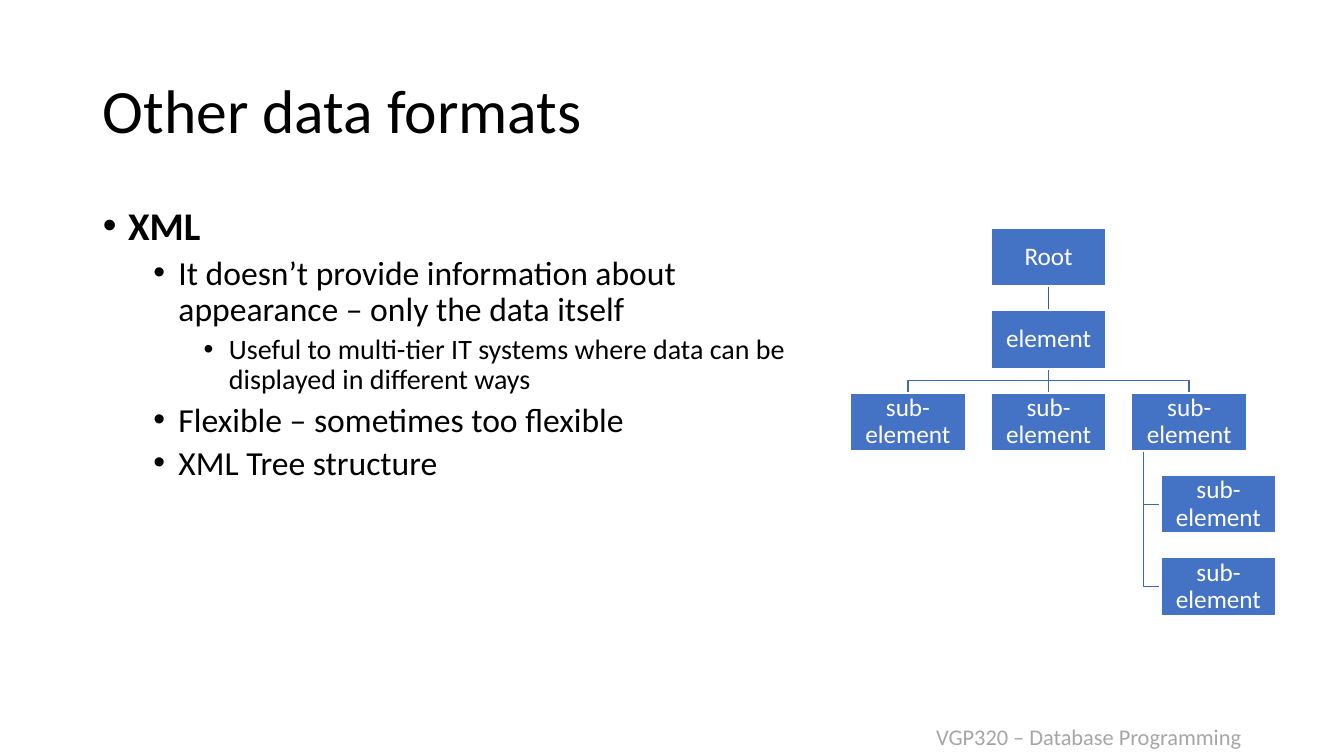
from pptx import Presentation
from pptx.dml.color import RGBColor
from pptx.enum.shapes import MSO_CONNECTOR, MSO_SHAPE
from pptx.enum.text import MSO_ANCHOR, MSO_AUTO_SIZE, PP_ALIGN
from pptx.oxml.ns import qn
from pptx.util import Inches, Pt
from lxml.etree import SubElement

COLORS = {"text": "000000", "foot": "A6A6A6", "box": "4472C4",
          "white": "FFFFFF", "stem": "365B9D", "branch": "3E67B2"}
FONT = "Calibri"
BOX_W, BOX_H = 1.15, 0.58
COL, ROW = 1.395, 0.8175  # pitch of the tree
LEFT, TOP = 8.43, 2.26


def color(name):
    return RGBColor.from_string(COLORS[name])


class Page:
    def __init__(self, deck):
        self.slide = deck.slides.add_slide(deck.slide_layouts[1])

    def style(self, para, size, tone="text", align=PP_ALIGN.LEFT, bold=False):
        font = para.font
        font.name, font.size, font.bold = FONT, Pt(size), bold
        font.color.rgb = color(tone)
        para.alignment = align

    def place(self, shape, *spot):
        shape.left, shape.top, shape.width, shape.height = map(Inches, spot)

    def title(self, text, *spot):
        shape = self.slide.shapes.title
        self.place(shape, *spot)
        frame = shape.text_frame
        frame.text = text
        frame.auto_size = MSO_AUTO_SIZE.NONE
        frame.vertical_anchor = MSO_ANCHOR.MIDDLE
        frame.paragraphs[0].line_spacing = 0.9
        self.style(frame.paragraphs[0], 44)

    def bullets(self, items, *spot):
        shape = self.slide.placeholders[1]
        self.place(shape, *spot)
        frame = shape.text_frame
        frame.text = "\n".join(text for level, text in items)
        frame.auto_size = MSO_AUTO_SIZE.NONE
        for para, (level, text) in zip(frame.paragraphs, items):
            para.level = level
            para.line_spacing = 0.9
            para.space_before = Pt(5 if level else 10)
            self.style(para, 28 - 4 * level, bold=level == 0)
            props = para._p.get_or_add_pPr()
            props.set("marL", str(Inches(0.25 + 0.5 * level)))
            props.set("indent", str(Inches(-0.25)))
            mark = SubElement(props, qn("a:buChar"))
            mark.set("char", "•")
            props.insert_element_before(mark, "a:tabLst", "a:defRPr", "a:extLst")

    def label(self, text, *spot):
        frame = self.slide.shapes.add_textbox(*map(Inches, spot)).text_frame
        frame.word_wrap = True
        frame.text = text
        self.style(frame.paragraphs[0], 16, "foot", PP_ALIGN.RIGHT)

    def box(self, text, x, y):
        shape = self.slide.shapes.add_shape(
            MSO_SHAPE.RECTANGLE, *map(Inches, (x, y, BOX_W, BOX_H)))
        shape.shadow.inherit = False
        shape.fill.solid()
        shape.fill.fore_color.rgb = color("box")
        shape.line.color.rgb = color("white")
        shape.line.width = Pt(1.5)
        frame = shape.text_frame
        frame.word_wrap = True
        frame.vertical_anchor = MSO_ANCHOR.MIDDLE
        frame.margin_left = frame.margin_right = Inches(0.01)
        frame.margin_top = frame.margin_bottom = Inches(0.01)
        frame.text = text
        frame.paragraphs[0].line_spacing = 0.9
        self.style(frame.paragraphs[0], 18, "white", PP_ALIGN.CENTER)

    def stem(self, x, y, end, tone):
        line = self.slide.shapes.add_connector(
            MSO_CONNECTOR.STRAIGHT, *map(Inches, (x, y, x, end)))
        line.line.color.rgb = color(tone)
        line.line.width = Pt(1)
        SubElement(line._element.spPr, qn("a:effectLst"))

    def bend(self, *points):
        first, *rest = [(Inches(x), Inches(y)) for x, y in points]
        build = self.slide.shapes.build_freeform(*first)
        build.add_line_segments(rest, close=False)
        shape = build.convert_to_shape()
        shape.shadow.inherit = False
        shape.fill.background()
        shape.line.color.rgb = color("branch")
        shape.line.width = Pt(1)


def main():
    deck = Presentation()
    deck.slide_width, deck.slide_height = Inches(13.33), Inches(7.5)
    page = Page(deck)

    # Title, list and footer
    page.title("Other data formats", 0.92, 0.4, 11.5, 1.45)
    page.bullets([
        (0, "XML"),
        (1, "It doesn’t provide information about appearance – only the data itself"),
        (2, "Useful to multi-tier IT systems where data can be displayed in different ways"),
        (1, "Flexible – sometimes too flexible"),
        (1, "XML Tree structure"),
    ], 0.92, 2, 7.11, 4.76)
    page.label("VGP320 – Database Programming", 8.49, 7.13, 3.92, 0.37)

    # Tree grid
    cols = [LEFT + COL * i for i in range(3)]
    rows = [TOP + ROW * i for i in range(5)]
    mid = cols[1] + BOX_W / 2
    side = cols[2] + 0.12
    leaf = cols[2] + 0.29

    # Tree lines
    for y in rows[:2:-1]:
        cent = y + BOX_H / 2
        page.bend((side, rows[2] + BOX_H), (side, cent), (leaf, cent))
    fork = rows[1] + BOX_H
    half = (fork + rows[2]) / 2
    for x in (cols[2], cols[0]):
        end = x + BOX_W / 2
        page.bend((mid, fork), (mid, half), (end, half), (end, rows[2]))
    page.stem(mid, fork, rows[2], "branch")
    page.stem(mid, rows[0] + BOX_H, rows[1], "stem")

    # Tree boxes
    page.box("Root", cols[1], rows[0])
    page.box("element", cols[1], rows[1])
    subs = [(x, rows[2]) for x in cols] + [(leaf, y) for y in rows[3:]]
    for x, y in subs:
        page.box("sub-element", x, y)

    deck.save("out.pptx")


if __name__ == "__main__":
    main()
